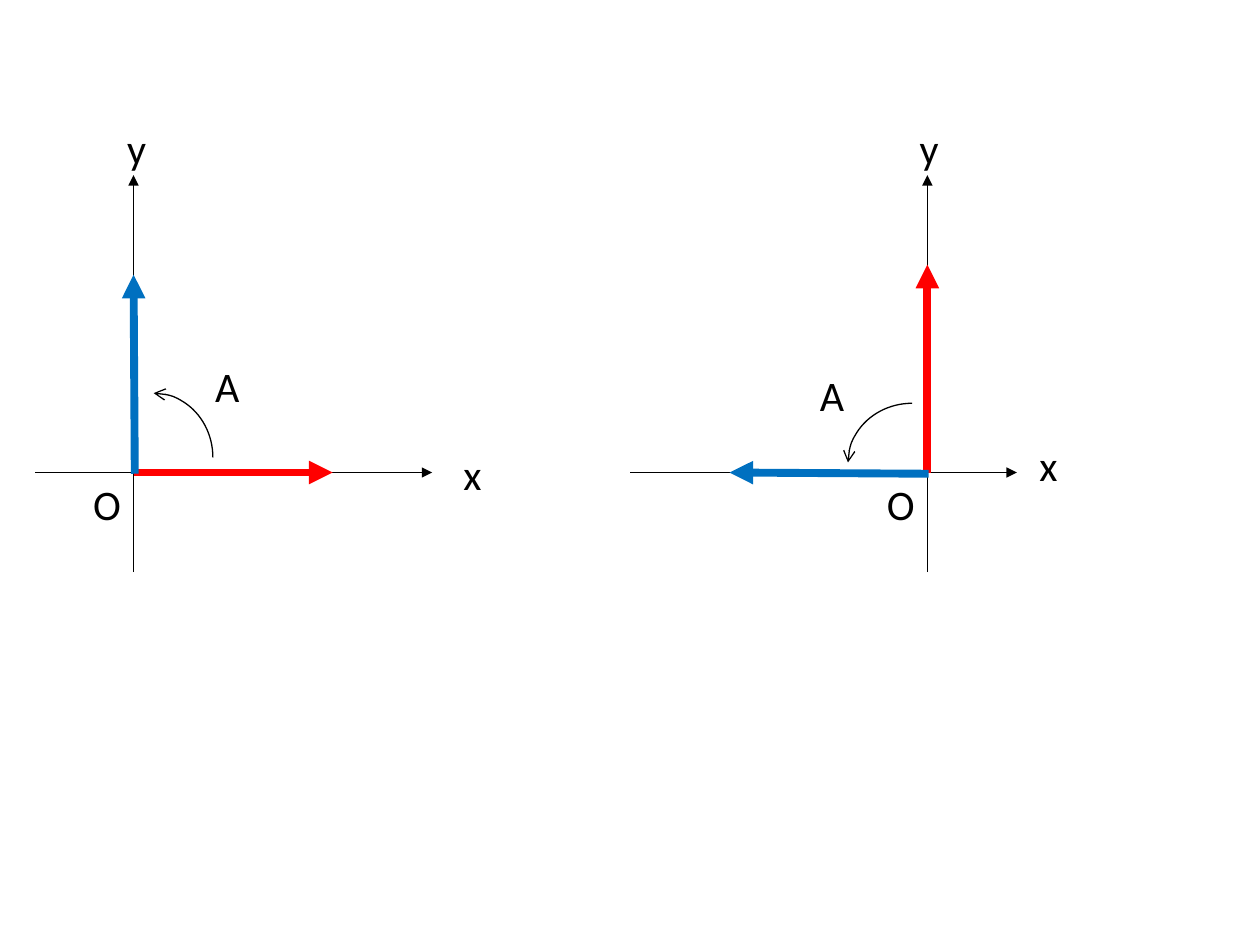
from dataclasses import dataclass

from lxml.etree import SubElement
from pptx import Presentation
from pptx.dml.color import RGBColor
from pptx.dml.line import LineFormat
from pptx.enum.shapes import MSO_CONNECTOR, MSO_SHAPE
from pptx.enum.text import MSO_AUTO_SIZE
from pptx.oxml.ns import qn
from pptx.slide import Slide
from pptx.util import Inches, Pt

Point = tuple[float, float]

BLACK, RED, BLUE = "000000", "FF0000", "0070C0"
AXIS_WIDTH, VECTOR_WIDTH = 0.75, 4.5
ORIGIN_Y = 3.75
AXIS_BOTTOM, AXIS_TOP = 4.54, 1.39
LABEL_HEIGHT = 0.5
LABEL_FONT = {"name": "Calibri", "size": Pt(24)}
LABEL_FRAME = {"word_wrap": False, "auto_size": MSO_AUTO_SIZE.SHAPE_TO_FIT_TEXT}


@dataclass
class Label:
    text: str
    left: float
    top: float
    width: float


@dataclass
class Diagram:
    origin_x: float
    axis_left: float
    axis_right: float
    red_tip: Point
    blue_tip: Point
    arc_corner: Point
    arc_rotation: float
    x_label: Point
    y_label_left: float
    angle_label: Point


DIAGRAMS = [
    Diagram(1.06, 0.28, 3.43, (2.64, ORIGIN_Y), (1.06, 2.18),
            (0.75, 3.12), 0, (3.58, 3.51), 0.91, (1.61, 2.81)),
    Diagram(7.36, 5, 8.07, (7.36, 2.1), (5.79, ORIGIN_Y),
            (6.77, 3.16), 270, (8.15, 3.44), 7.2, (6.41, 2.88)),
]


def color(hex_value: str) -> RGBColor:
    return RGBColor.from_string(hex_value)


def format_line(line: LineFormat, hex_value: str, width: float) -> None:
    line.color.rgb = color(hex_value)
    line.width = Pt(width)


def add_arrow(slide: Slide, start: Point, end: Point,
              hex_value: str = BLACK, width: float = AXIS_WIDTH) -> None:
    ends = [Inches(value) for value in (*start, *end)]
    arrow = slide.shapes.add_connector(MSO_CONNECTOR.STRAIGHT, *ends)
    format_line(arrow.line, hex_value, width)
    properties = arrow._element.spPr
    SubElement(properties.find(qn("a:ln")), qn("a:tailEnd"), type="triangle")
    SubElement(properties, qn("a:effectLst"))


def add_rotation_arc(slide: Slide, corner: Point, rotation: float) -> None:
    bounds = [Inches(value) for value in (*corner, 0.94, 1.02)]
    arc = slide.shapes.add_shape(MSO_SHAPE.ARC, *bounds)
    arc.rotation = rotation
    arc.fill.background()
    format_line(arc.line, BLACK, AXIS_WIDTH)
    SubElement(arc._element.spPr.find(qn("a:ln")), qn("a:headEnd"), type="arrow")
    arc.shadow.inherit = False


def add_label(slide: Slide, label: Label) -> None:
    bounds = [Inches(value) for value in (label.left, label.top, label.width, LABEL_HEIGHT)]
    text_frame = slide.shapes.add_textbox(*bounds).text_frame
    for name, value in LABEL_FRAME.items():
        setattr(text_frame, name, value)
    run = text_frame.paragraphs[0].add_run()
    run.text = label.text
    for name, value in LABEL_FONT.items():
        setattr(run.font, name, value)
    run.font.color.rgb = color(BLACK)


def draw_diagram(slide: Slide, diagram: Diagram) -> None:
    origin_x = diagram.origin_x
    add_arrow(slide, (diagram.axis_left, ORIGIN_Y), (diagram.axis_right, ORIGIN_Y))
    add_arrow(slide, (origin_x, AXIS_BOTTOM), (origin_x, AXIS_TOP))
    add_arrow(slide, (origin_x, ORIGIN_Y), diagram.red_tip, RED, VECTOR_WIDTH)
    add_arrow(slide, (origin_x + 0.01, ORIGIN_Y + 0.01), diagram.blue_tip, BLUE, VECTOR_WIDTH)
    add_rotation_arc(slide, diagram.arc_corner, diagram.arc_rotation)
    labels = [
        Label("O", origin_x - 0.42, ORIGIN_Y, 0.42),
        Label("x", *diagram.x_label, 0.35),
        Label("y", diagram.y_label_left, 0.92, 0.35),
        Label("A", *diagram.angle_label, 0.4),
    ]
    for label in labels:
        add_label(slide, label)


def main() -> None:
    presentation = Presentation()
    presentation.slide_width = Inches(10)
    presentation.slide_height = Inches(7.5)
    slide = presentation.slides.add_slide(presentation.slide_layouts[6])
    for diagram in DIAGRAMS:
        draw_diagram(slide, diagram)
    presentation.save("out.pptx")


if __name__ == "__main__":
    main()
